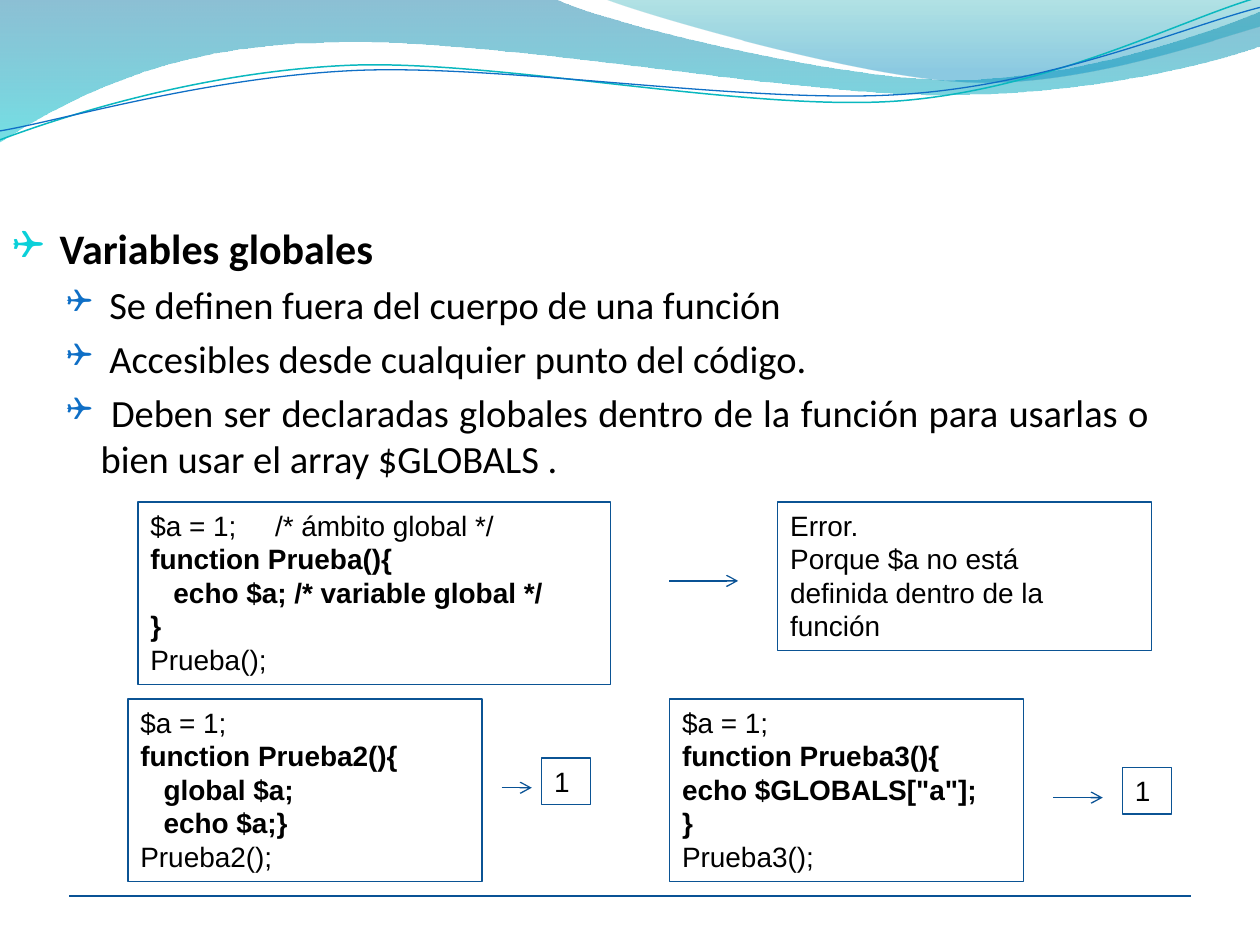
from lxml.etree import SubElement
from pptx import Presentation
from pptx.dml.color import RGBColor
from pptx.enum.shapes import MSO_CONNECTOR as Connector, MSO_SHAPE as Shape
from pptx.enum.text import MSO_ANCHOR as Anchor, MSO_AUTO_SIZE as AutoSize, PP_ALIGN as Align
from pptx.oxml.ns import qn
from pptx.util import Cm, Pt

WIDTH, HEIGHT = 25.4, 19.05
BLACK, BORDER, RULE = "000000", "0B5394", "095295"


def rgb(hex_color):
    return RGBColor.from_string(hex_color)


class Deck:
    def __init__(self):
        self.presentation = Presentation()
        self.presentation.slide_width = Cm(WIDTH)
        self.presentation.slide_height = Cm(HEIGHT)
        self.slide = self.presentation.slides.add_slide(self.presentation.slide_layouts[6])
        self.shapes = self.slide.shapes

    def outline(self, shape, color, width=0.75):
        shape.line.color.rgb = rgb(color)
        shape.line.width = Pt(width)

    def style(self, paragraph, font_name, size, bold):
        font = paragraph.font
        font.name, font.size, font.bold = font_name, Pt(size), bold
        font.color.rgb = rgb(BLACK)

    def freeform(self, start, steps, closed):
        """Outline whose steps are lines (1 point) or Bézier curves (3 points)."""
        builder = self.shapes.build_freeform(*map(Cm, start))
        builder.add_line_segments([(Cm(x), Cm(y)) for step in steps for x, y in step],
                                  close=closed)
        shape = builder.convert_to_shape()
        shape.shadow.inherit = False
        segments = iter(list(shape.element.iter(qn("a:lnTo"))))
        for step in steps:
            parts = [next(segments) for _ in step]
            if len(parts) == 3:
                parts[0].tag
                curve = SubElement(parts[0].getparent(), qn("a:cubicBezTo"))
                parts[0].addprevious(curve)
                for part in parts:
                    curve.append(part[0])
                    part.getparent().remove(part)
        return shape

    def wave(self, start, steps, stops):
        """Closed band; stops are (position, colour, opacity percent) from top to bottom."""
        band = self.freeform(start, steps, closed=True)
        band.line.fill.background()
        band.fill.gradient()
        band.fill.gradient_angle = 270
        for stop, (position, color, _) in zip(band.fill.gradient_stops, stops):
            stop.position = position
            stop.color.rgb = rgb(color)
        for srgb, (_, _, opacity) in zip(band.element.iter(qn("a:srgbClr")), stops):
            SubElement(srgb, qn("a:alpha"), val=str(opacity * 1000))

    def swoosh(self, start, steps, color, width):
        curve = self.freeform(start, steps, closed=False)
        curve.rotation = 357.3
        curve.fill.background()
        self.outline(curve, color, width)

    def line(self, x1, x2, y, arrow=False):
        line = self.shapes.add_connector(Connector.STRAIGHT, Cm(x1), Cm(y), Cm(x2), Cm(y))
        self.outline(line, RULE)
        if arrow:
            SubElement(line.line._get_or_add_ln(), qn("a:tailEnd"), type="arrow")
        SubElement(line.element.spPr, qn("a:effectLst"))

    def bullets(self, left, top, width, height, items):
        """Items are (text, size, bold, level, left margin, hanging, bullet colour, percent)."""
        frame = self.shapes.add_textbox(Cm(left), Cm(top), Cm(width), Cm(height)).text_frame
        frame.word_wrap = True
        for i, (text, size, bold, level, margin, hanging, color, percent) in enumerate(items):
            paragraph = frame.add_paragraph() if i else frame.paragraphs[0]
            paragraph.text = text
            paragraph.level = level
            paragraph.alignment = Align.JUSTIFY
            props = paragraph._p.get_or_add_pPr()
            props.set("marL", str(Cm(margin)))
            props.set("indent", str(-Cm(hanging)))
            SubElement(SubElement(props, qn("a:spcBef")), qn("a:spcPct"), val="20000")
            SubElement(SubElement(props, qn("a:buClr")), qn("a:srgbClr"), val=color)
            SubElement(props, qn("a:buSzPct"), val=str(percent * 1000))
            SubElement(props, qn("a:buFont"), typeface="Wingdings")
            SubElement(props, qn("a:buChar"), char="❑")
            self.style(paragraph, "Calibri", size, bold)

    def box(self, left, top, width, height, lines):
        """Framed text; lines are (text, bold)."""
        box = self.shapes.add_shape(Shape.RECTANGLE, Cm(left), Cm(top), Cm(width), Cm(height))
        box.shadow.inherit = False
        box.fill.background()
        self.outline(box, BORDER)
        frame = box.text_frame
        frame.word_wrap = True
        frame.auto_size = AutoSize.SHAPE_TO_FIT_TEXT
        frame.vertical_anchor = Anchor.TOP
        for i, (text, bold) in enumerate(lines):
            paragraph = frame.add_paragraph() if i else frame.paragraphs[0]
            paragraph.text = text
            paragraph.alignment = Align.LEFT
            self.style(paragraph, "Arial", 16, bold)


def plain(*texts):
    return [(text, False) for text in texts]


def code(first, *body, call):
    """Listing whose function body is bold."""
    return plain(first) + [(text, True) for text in body] + plain(call)


def main():
    deck = Deck()
    deck.wave((0, -0.03), [
        ((11.18, -0.03),),
        ((12.09, 0.43), (16.87, 1.6), (19.25, 1.6)),
        ((21.67, 1.6), (24.33, 0.66), (25.4, 0.23)),
        ((25.43, 0.91),),
        ((24.97, 1.12), (22.1, 1.93), (18.95, 1.91)),
        ((15.8, 1.91), (9.7, 0.71), (6.53, 0.86)),
        ((3.28, 0.89), (1.17, 2.11), (-0.03, 2.87)),
    ], [(0, "0074A1", 45), (1, "00C6CF", 55)])
    deck.wave((12.17, -0.03), [
        ((12.93, 0.28), (17.32, 1.57), (19.53, 1.65)),
        ((21.74, 1.75), (24.41, 0.81), (25.4, 0.53)),
        ((25.4, 0),),
    ], [(0, "00A1A9", 30), (0.8, "008BBF", 45)])
    deck.swoosh((-0.05, 2.22), [
        ((1.19, 1.82), (4.02, 1.04), (7.05, 1.05)),
        ((10.05, 1.07), (15.02, 2.37), (18.08, 2.29)),
        ((21.13, 2.2), (23.87, 0.91), (25.41, 0.55)),
    ], "0AB8BF", 0.85)
    deck.swoosh((-0.04, 2.04), [
        ((1.16, 1.9), (4.18, 1.15), (7.2, 1.16)),
        ((10.25, 1.18), (15.13, 2.23), (18.19, 2.16)),
        ((21.21, 2.1), (23.93, 1.06), (25.45, 0.75)),
    ], "0F6FC6", 0.75)

    heading = (" Variables globales", 24, True, 0, 0.76, 0.76, "0BD0D9", 95)
    rules = [(text, 22, False, 1, 1.78, 0.69, "0F6FC6", 85) for text in (
        " Se definen fuera del cuerpo de una función",
        " Accesibles desde cualquier punto del código.",
        " Deben ser declaradas globales dentro de la función para usarlas o "
        "bien usar el array $GLOBALS .",
    )]
    deck.bullets(0, 4.37, 23.42, 13.69, [heading, *rules])
    deck.line(1.4, 24, 18.06)

    deck.box(2.78, 10.12, 9.53, 3.68, code(
        "$a = 1;     /* ámbito global */", "function Prueba(){",
        "   echo $a; /* variable global */", "}", call="Prueba();"))
    deck.box(15.68, 10.12, 7.54, 3, plain(
        "Error.", "Porque $a no está", "definida dentro de la", "función"))
    deck.line(13.49, 14.88, 11.71, arrow=True)
    deck.box(2.58, 14.09, 7.14, 3.68, code(
        "$a = 1;", "function Prueba2(){", "   global $a;", "   echo $a;}",
        call="Prueba2();"))
    deck.box(10.92, 15.28, 0.99, 0.94, plain("1"))
    deck.line(10.11, 10.72, 15.88, arrow=True)
    deck.box(13.5, 14.09, 7.14, 3.68, code(
        "$a = 1;", "function Prueba3(){", 'echo $GLOBALS["a"];', "}", call="Prueba3();"))
    deck.box(22.63, 15.47, 0.99, 0.94, plain("1"))
    deck.line(21.23, 22.23, 16.08, arrow=True)

    deck.presentation.save("out.pptx")


if __name__ == "__main__":
    main()
